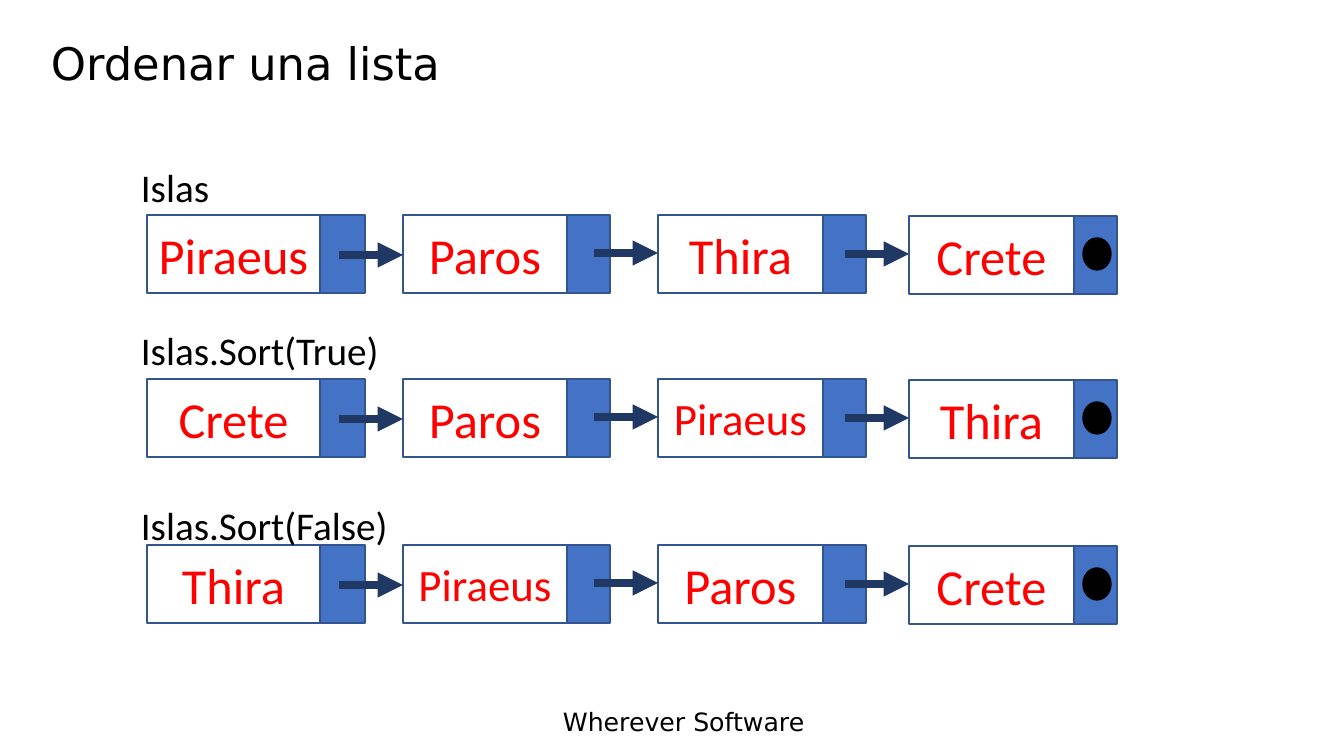
"""Build a slide that shows a linked list of islands before and after sorting."""
from lxml import etree
from pptx import Presentation
from pptx import util as u
from pptx.dml.color import RGBColor
from pptx.enum import shapes, text
from pptx.oxml.ns import qn

PIXEL = 914400 / 100.8
BLACK = RGBColor(0x00, 0x00, 0x00)
RED = RGBColor(0xFF, 0x00, 0x00)
BLUE = RGBColor(0x44, 0x72, 0xC4)
OUTLINE = RGBColor(0x32, 0x54, 0x91)
NAVY = RGBColor(0x20, 0x38, 0x64)
RECTANGLE = shapes.MSO_SHAPE.RECTANGLE
OVAL = shapes.MSO_SHAPE.OVAL


def add_shape(parent, kind, box, fill, outline):
    shape = parent.add_shape(kind, *(round(value * PIXEL) for value in box))
    shape.shadow.inherit = False
    if fill is None:
        shape.fill.background()
    else:
        shape.fill.solid()
        shape.fill.fore_color.rgb = fill
    shape.line.color.rgb = outline
    shape.line.width = u.Pt(1)
    return shape


def write(shape, content, color, alignment, frame_format, font_format):
    frame = shape.text_frame
    for name, value in frame_format.items():
        setattr(frame, name, value)
    paragraph = frame.paragraphs[0]
    paragraph.alignment = alignment
    run = paragraph.add_run()
    run.text = content
    run.font.color.rgb = color
    for name, value in font_format.items():
        setattr(run.font, name, value)


presentation = Presentation()
presentation.slide_width = round(1344 * PIXEL)
presentation.slide_height = round(756 * PIXEL)
slide = presentation.slides.add_slide(presentation.slide_layouts[6])

TOP, MIDDLE = text.MSO_ANCHOR.TOP, text.MSO_ANCHOR.MIDDLE
LEFT, CENTER = text.PP_ALIGN.LEFT, text.PP_ALIGN.CENTER

NODES = [(147, 173, 45), (403, 164, 43), (658, 165, 43), (909, 165, 43)]
ARROWS = [(339, 40), (594, 38), (845, 39)]
ARROW_LENGTH = 64
NODE_HEIGHT = 78
ROWS = [
    (215, ["Piraeus", "Paros", "Thira", "Crete"], [36, 36, 36, 36]),
    (379, ["Crete", "Paros", "Piraeus", "Thira"], [36, 36, 32, 36]),
    (545, ["Thira", "Piraeus", "Paros", "Crete"], [36, 32, 36, 36]),
]

for row_top, islands, sizes in ROWS:
    for (left, width, link_width), island, size in zip(NODES, islands, sizes):
        top = row_top + (left == NODES[-1][0])
        node = slide.shapes.add_group_shape().shapes
        cell = add_shape(node, RECTANGLE, (left, top, width, NODE_HEIGHT), None, OUTLINE)
        write(cell, island, RED, CENTER, {"vertical_anchor": MIDDLE, "word_wrap": True},
              {"name": "Calibri", "size": u.Pt(size)})
        add_shape(node, RECTANGLE, (left + width, top, link_width, NODE_HEIGHT), BLUE, OUTLINE)

    for start, drop in ARROWS:
        ends = (start, row_top + drop, start + ARROW_LENGTH, row_top + drop)
        arrow = slide.shapes.add_connector(
            shapes.MSO_CONNECTOR.STRAIGHT, *(round(value * PIXEL) for value in ends))
        arrow.line.color.rgb = NAVY
        arrow.line.width = u.Pt(6)
        etree.SubElement(arrow.line._get_or_add_ln(), qn("a:tailEnd"), type="triangle")
        etree.SubElement(arrow._element.spPr, qn("a:effectLst"))

    add_shape(slide.shapes, OVAL, (1083, row_top + 23, 28, 32), BLACK, BLACK)

TEXTS = [
    ("Wherever Software", (553, 701, 292, 40), "DejaVu Sans", 18, TOP, True),
    ("Ordenar una lista", (41, 15, 1211, 96), "DejaVu Sans", 32, MIDDLE, True),
    ("Islas", (131, 158, 90, 57), "Calibri", 28, TOP, False),
    ("Islas.Sort(True)", (131, 321, 260, 57), "Calibri", 28, TOP, False),
    ("Islas.Sort(False)", (131, 496, 270, 57), "Calibri", 28, TOP, False),
]

for content, box, font, size, anchor, wrap in TEXTS:
    text_box = slide.shapes.add_textbox(*(round(value * PIXEL) for value in box))
    write(text_box, content, BLACK, LEFT, {"vertical_anchor": anchor, "word_wrap": wrap},
          {"name": font, "size": u.Pt(size)})

presentation.save("out.pptx")
